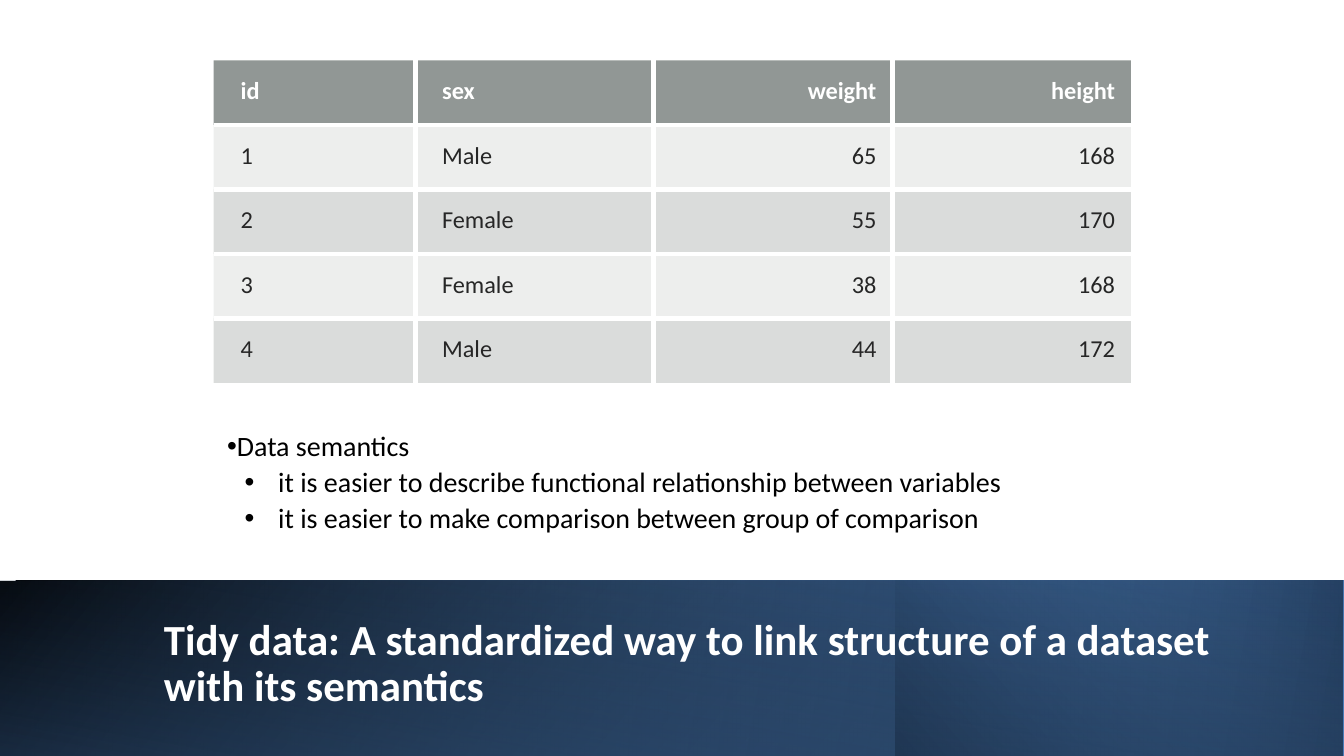
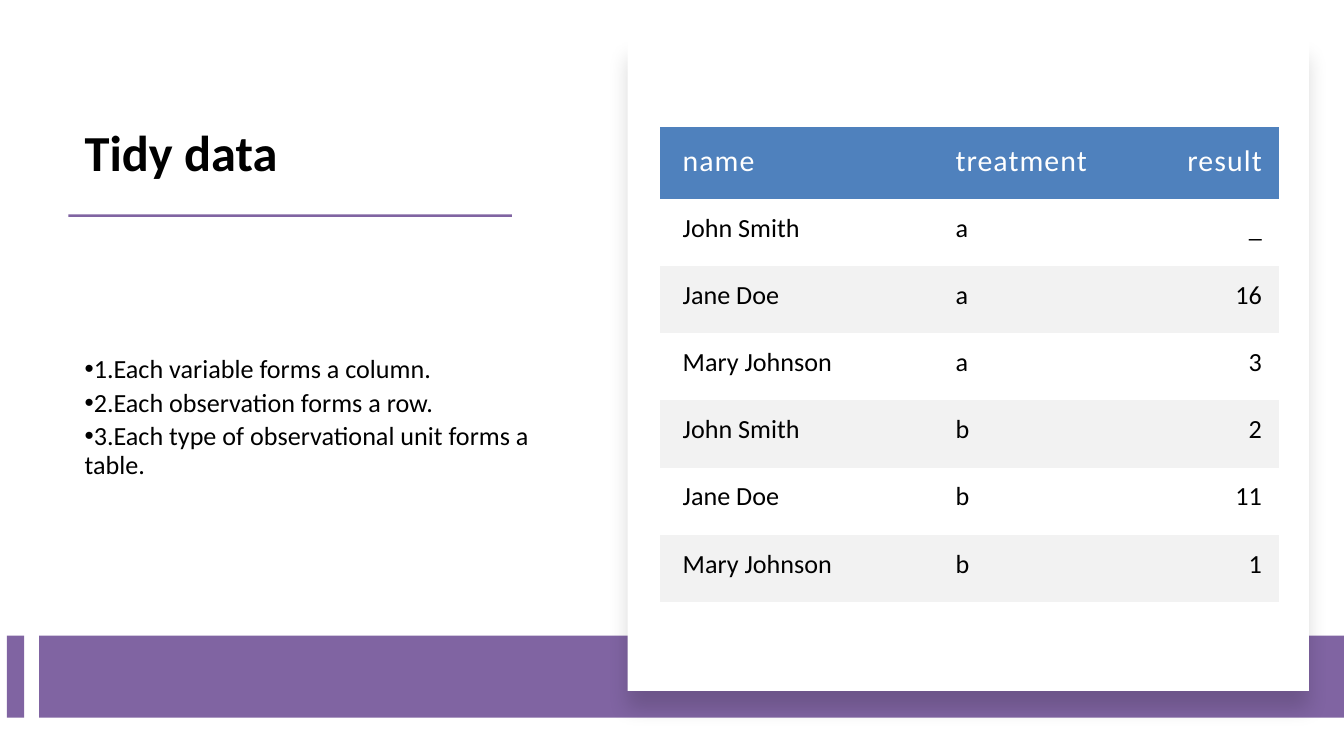
"""Builds two slides that explain tidy data with tables and short lists."""
from pptx import Presentation
from pptx.dml.color import RGBColor
from pptx.enum.shapes import MSO_SHAPE
from pptx.enum.text import MSO_ANCHOR, MSO_AUTO_SIZE, PP_ALIGN
from pptx.oxml import parse_xml
from pptx.oxml.ns import nsdecls, qn
from pptx.oxml.xmlchemy import OxmlElement
from pptx.util import Pt

EMU_PER_PX = 4572
FONT = "Calibri"

RECTANGLE = MSO_SHAPE.RECTANGLE
TOP, MIDDLE, BOTTOM = MSO_ANCHOR.TOP, MSO_ANCHOR.MIDDLE, MSO_ANCHOR.BOTTOM
LEFT, RIGHT = PP_ALIGN.LEFT, PP_ALIGN.RIGHT
NO_AUTOFIT = MSO_AUTO_SIZE.NONE

WHITE = RGBColor(0xFF, 0xFF, 0xFF)
BLACK = RGBColor(0x00, 0x00, 0x00)
CHARCOAL = RGBColor(0x26, 0x26, 0x26)
BLUE = RGBColor(0x4F, 0x81, 0xBD)
NAVY = RGBColor(0x25, 0x40, 0x61)
PURPLE = RGBColor(0x80, 0x64, 0xA2)
SLATE = RGBColor(0x63, 0x6B, 0x68)
GRAY = RGBColor(0x87, 0x8E, 0x8B)
PALE = RGBColor(0xF2, 0xF2, 0xF2)

MEASUREMENTS = [
    ("id", "sex", "weight", "height"),
    ("1", "Male", "65", "168"),
    ("2", "Female", "55", "170"),
    ("3", "Female", "38", "168"),
    ("4", "Male", "44", "172"),
]
TREATMENTS = [
    ("name", "treatment", "result"),
    ("John Smith", "a", "_"),
    ("Jane Doe", "a", "16"),
    ("Mary Johnson", "a", "3"),
    ("John Smith", "b", "2"),
    ("Jane Doe", "b", "11"),
    ("Mary Johnson", "b", "1"),
]
MEASUREMENT_STYLE = {
    "header": {"size": Pt(13), "bold": True, "color": WHITE},
    "body": {"size": Pt(13), "bold": False, "color": CHARCOAL},
    "fills": [(SLATE, 70), (GRAY, 15), (GRAY, 30)],
    "margins": (40, 24, 24, 24),
    "header_anchor": TOP,
    "grid": Pt(3),
    "numeric_from": 2,
}
TREATMENT_STYLE = {
    "header": {"size": Pt(16), "bold": False, "color": WHITE, "spacing": 60},
    "body": {"size": Pt(14), "bold": False, "color": BLACK},
    "fills": [(BLUE, 100), None, (PALE, 100)],
    "margins": (34, 20, 26, 26),
    "header_anchor": MIDDLE,
    "grid": None,
    "numeric_from": 2,
}


def px(length):
    """Turns px into EMU."""
    return length * EMU_PER_PX


def set_all(target, values):
    """Sets every attribute named in a dict."""
    for name, value in values.items():
        setattr(target, name, value)


class Deck:
    """Holds the presentation, the current slide and the shared style."""

    def __init__(self, width, height):
        self.presentation = Presentation()
        set_all(self.presentation, {"slide_width": px(width), "slide_height": px(height)})
        self.slide = None

    def add_slide(self):
        """Starts a slide with a title and a body."""
        self.slide = self.presentation.slides.add_slide(self.presentation.slide_layouts[1])

    def add_text(self, paragraph, text, color, spacing=None, **font_values):
        """Adds one formatted run."""
        run = paragraph.add_run()
        run.text = text
        set_all(run.font, {"name": FONT, **font_values})
        run.font.color.rgb = color
        if spacing:
            run.font._element.set("spc", str(spacing))

    def place(self, placeholder, box, anchor):
        """Moves a placeholder to its box, in front of what is drawn so far."""
        names = ("left", "top", "width", "height")
        set_all(placeholder, dict(zip(names, map(px, box))))
        set_all(placeholder.text_frame, {
            "vertical_anchor": anchor, "word_wrap": True, "auto_size": NO_AUTOFIT})
        placeholder.element.getparent().append(placeholder.element)
        return placeholder.text_frame

    def title(self, text, box, anchor, size, color):
        """Fills the title."""
        paragraph = self.place(self.slide.shapes.title, box, anchor).paragraphs[0]
        set_all(paragraph, {"alignment": LEFT, "line_spacing": 0.9})
        self.add_text(paragraph, text, color, size=Pt(size), bold=True)

    def bullets(self, items, box, size):
        """Fills the body with (level, text) items."""
        frame = self.place(self.slide.placeholders[1], box, MIDDLE)
        for index, (level, text) in enumerate(items):
            paragraph = frame.add_paragraph() if index else frame.paragraphs[0]
            set_all(paragraph, {"level": level, "alignment": LEFT, "line_spacing": 0.9})
            properties = paragraph._p.get_or_add_pPr()
            properties.set("marL", str(px(76 * level)))
            properties.set("indent", str(px(-50)))
            bullet = OxmlElement("a:buChar")
            bullet.set("char", "•")
            properties.append(bullet)
            self.add_text(paragraph, text, BLACK, size=Pt(size), bold=False)

    def rectangle(self, box, fill=None, rotation=0, flip=False):
        """Draws a plain rectangle without a line."""
        shape = self.slide.shapes.add_shape(RECTANGLE, *map(px, box))
        shape.rotation = rotation
        shape.shadow.inherit = False
        shape.line.fill.background()
        if fill is not None:
            shape.fill.solid()
            shape.fill.fore_color.rgb = fill
        if flip:
            shape.element.spPr.find(qn("a:xfrm")).set("flipH", "1")
        return shape

    def gradient(self, box, stops, angle, **placement):
        """Draws a rectangle with (position, color, opacity) stops."""
        shape = self.rectangle(box, **placement)
        marks = "".join(
            f'<a:gs pos="{position * 1000}"><a:srgbClr val="{color}">'
            f'<a:alpha val="{opacity * 1000}"/></a:srgbClr></a:gs>'
            for position, color, opacity in stops)
        shape.element.spPr.find(qn("a:prstGeom")).addnext(parse_xml(
            f'<a:gradFill {nsdecls("a")} rotWithShape="1"><a:gsLst>{marks}</a:gsLst>'
            f'<a:lin ang="{angle * 60000}" scaled="0"/></a:gradFill>'))

    def card(self, box):
        """Draws a white card with a soft shadow below it."""
        shape = self.rectangle(box, WHITE)
        shape.element.spPr.find(qn("a:effectLst")).append(parse_xml(
            f'<a:outerShdw {nsdecls("a")} blurRad="{Pt(11)}" dist="{Pt(10)}" dir="5400000" '
            f'algn="t" rotWithShape="0"><a:srgbClr val="{BLACK}"><a:alpha val="15000"/>'
            '</a:srgbClr></a:outerShdw>'))

    def borders(self, cell, inner_sides, width):
        """Draws white inner borders and clears the other sides."""
        for side in "LRTB":
            visible = width and side in inner_sides
            fill = (f'<a:solidFill><a:srgbClr val="{WHITE}"/></a:solidFill>'
                    if visible else "<a:noFill/>")
            cell._tc.get_or_add_tcPr().append(parse_xml(
                f'<a:ln{side} {nsdecls("a")} w="{width if visible else 0}">{fill}</a:ln{side}>'))

    def cell_fill(self, cell, fill):
        """Fills a cell with a (color, opacity) pair, or leaves it clear."""
        if fill is None:
            cell.fill.background()
            return
        color, opacity = fill
        cell.fill.solid()
        cell.fill.fore_color.rgb = color
        if opacity < 100:
            alpha = OxmlElement("a:alpha")
            alpha.set("val", str(opacity * 1000))
            cell._tc.tcPr.find(qn("a:solidFill"))[0].append(alpha)

    def table(self, rows, left, top, widths, heights, style):
        """Draws a table with a header and two alternating row fills."""
        table = self.slide.shapes.add_table(
            len(rows), len(widths), *map(px, (left, top, sum(widths), sum(heights)))).table
        table.horz_banding = False
        for column, width in zip(table.columns, widths):
            column.width = px(width)
        margin_names = ("margin_left", "margin_top", "margin_right", "margin_bottom")
        margins = dict(zip(margin_names, map(px, style["margins"])))
        header_fill, *row_fills = style["fills"]
        for r, values in enumerate(rows):
            table.rows[r].height = px(heights[r])
            for c, text in enumerate(values):
                cell = table.cell(r, c)
                anchor = TOP if r else style["header_anchor"]
                set_all(cell, {**margins, "vertical_anchor": anchor})
                inner = {"L": c > 0, "R": c < len(widths) - 1,
                         "T": r > 0, "B": r < len(rows) - 1}
                self.borders(cell, [side for side in inner if inner[side]], style["grid"])
                self.cell_fill(cell, row_fills[(r - 1) % 2] if r else header_fill)
                paragraph = cell.text_frame.paragraphs[0]
                paragraph.alignment = RIGHT if c >= style["numeric_from"] else LEFT
                self.add_text(paragraph, text, **style["body" if r else "header"])


def semantics_slide(deck):
    """Builds the slide on structure and semantics."""
    deck.add_slide()
    band = (0, 864, 2000, 261)
    deck.gradient(band, [(0, BLACK, 100), (100, BLUE, 100)], 140, flip=True)
    deck.gradient((0, 864, 1998, 261), [(0, BLUE, 0), (100, NAVY, 100)], 170, flip=True)
    deck.gradient((1332, 864, 668, 261), [(0, NAVY, 100), (100, BLUE, 0)], 220, flip=True)
    deck.gradient((-2, 864, 2000, 262), [(0, BLACK, 0), (99, NAVY, 55)], 280, rotation=180)
    deck.title("Tidy data: A standardized way to link structure of a dataset with its semantics",
               (224, 904, 1624, 170), MIDDLE, 23, WHITE)
    deck.bullets([
        (0, "Data semantics"),
        (1, "it is easier to describe functional relationship between variables"),
        (1, "it is easier to make comparison between group of comparison"),
    ], (318, 628, 1366, 184), 15)
    deck.table(MEASUREMENTS, 318, 90, [300] + [355] * 3, [96] * 5, MEASUREMENT_STYLE)


def rules_slide(deck):
    """Builds the slide on the rules of tidy data."""
    deck.add_slide()
    deck.title("Tidy data", (106, 86, 702, 196), BOTTOM, 27, BLACK)
    deck.rectangle((102, 319, 660, 4), PURPLE, flip=True)
    deck.bullets([
        (0, "1.Each variable forms a column."),
        (0, "2.Each observation forms a row."),
        (0, "3.Each type of observational unit forms a table."),
    ], (106, 334, 702, 576), 14)
    for bar in ((-38, 994, 122, 26), (968, 36, 122, 1942)):
        deck.rectangle(bar, PURPLE, rotation=90)
    deck.card((934, 58, 1014, 970))
    deck.table(TREATMENTS, 982, 189, [406, 302, 214], [107] + [100] * 6, TREATMENT_STYLE)


def main():
    """Builds and saves the presentation."""
    deck = Deck(2000, 1125)
    semantics_slide(deck)
    rules_slide(deck)
    deck.presentation.save("out.pptx")


if __name__ == "__main__":
    main()
